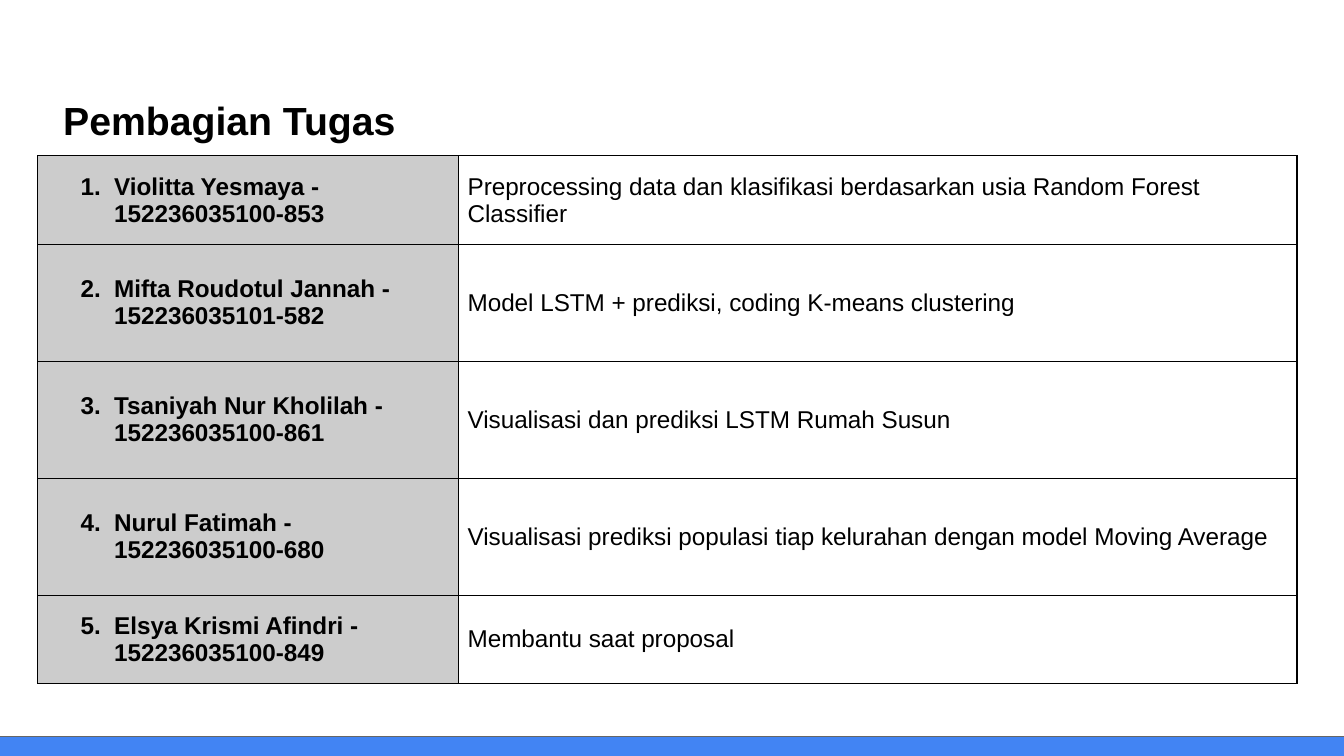
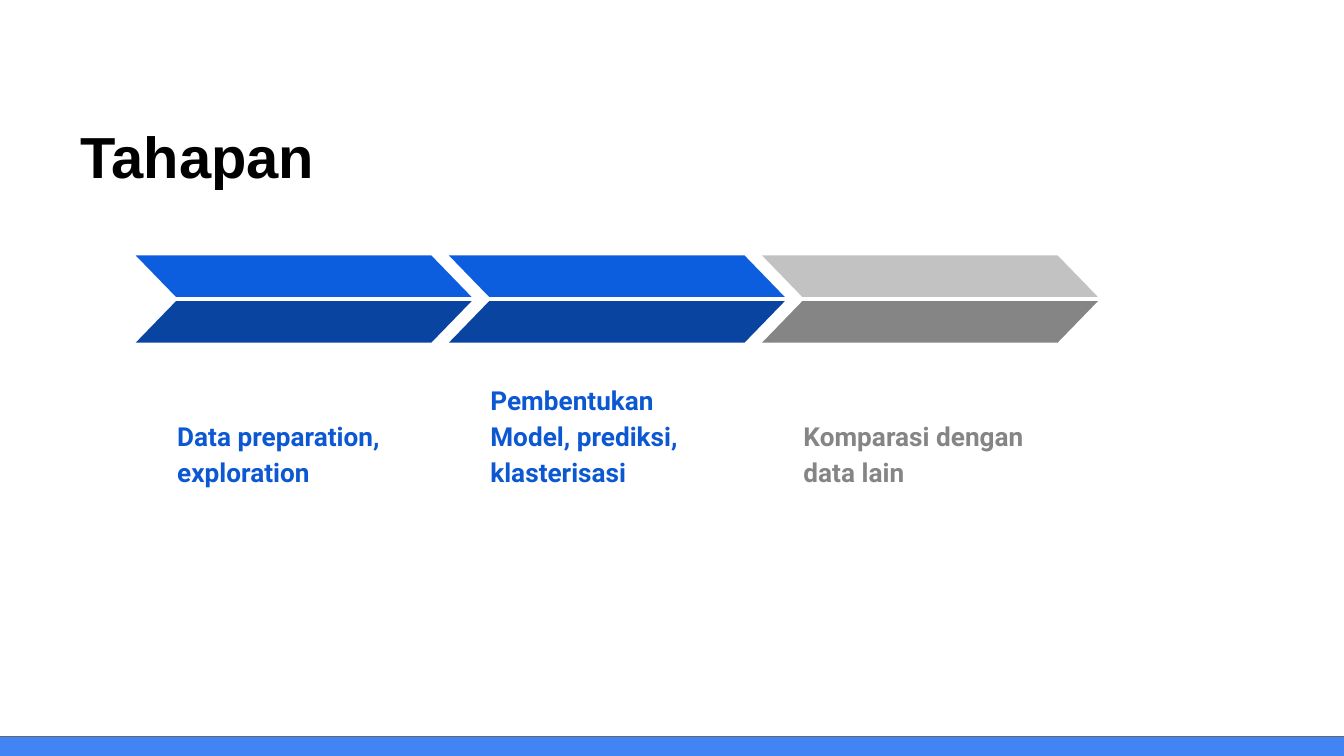
from lxml import etree
from pptx import Presentation
from pptx.dml.color import RGBColor
from pptx.enum import shapes, text
from pptx.oxml.ns import qn
from pptx.util import Inches, Pt

BLACK, WHITE, GREY = "000000", "FFFFFF", "CCCCCC"
BAND_BLUE, BAND_LINE = "4284F3", "666666"
BLUE, DARK_BLUE, LABEL_BLUE = "0D5DDF", "0944A1", "0C58D3"
LIGHT_STEP, DARK_STEP = "C2C2C2", "858585"


def color(value):
    return RGBColor.from_string(value)


def style(paragraph, font, size, value, bold):
    for span in paragraph.runs:
        span.font.name = font
        span.font.size = Pt(size)
        span.font.bold = bold
        span.font.color.rgb = color(value)


# Widescreen deck, 16 to 9
deck = Presentation()
deck.slide_width = Inches(10)
deck.slide_height = deck.slide_width * 9 // 16
layout = deck.slide_layouts[5]

# Pages and their titles: wording, size, left, top, width, height
titles = [
    ("Pembagian Tugas", 21, 0.37, 0.62, 8.75, 0.53),
    ("Tahapan", 31, 0.5, 0.8, 7.55, 0.81),
]
for wording, size, *place in titles:
    page = deck.slides.add_slide(layout)
    title = page.shapes.title
    title.left, title.top, title.width, title.height = map(Inches, place)
    frame = title.text_frame
    frame.text = wording
    frame.auto_size = text.MSO_AUTO_SIZE.NONE
    frame.vertical_anchor = text.MSO_ANCHOR.TOP
    frame.margin_left = frame.margin_right = Inches(0.1)
    frame.margin_top = frame.margin_bottom = Inches(0.1)
    frame.paragraphs[0].alignment = text.PP_ALIGN.LEFT
    style(frame.paragraphs[0], "Arial", size, BLACK, True)
tasks_page, steps_page = deck.slides

# Bottom band, moved to the layout that both pages share
band = tasks_page.shapes.add_shape(
    shapes.MSO_SHAPE.RECTANGLE,
    Inches(-0.04), Inches(5.48), Inches(10.18), Inches(0.3))
band.shadow.inherit = False
band.fill.solid()
band.fill.fore_color.rgb = color(BAND_BLUE)
band.line.color.rgb = color(BAND_LINE)
band.line.width = Pt(0.75)
layout.shapes.element.append(band.element)

# Task table
tasks = [
    ("Violitta Yesmaya", "152236035100-853",
     "Preprocessing data dan klasifikasi berdasarkan usia Random Forest Classifier"),
    ("Mifta Roudotul Jannah", "152236035101-582",
     "Model LSTM + prediksi, coding K-means clustering"),
    ("Tsaniyah Nur Kholilah", "152236035100-861",
     "Visualisasi dan prediksi LSTM Rumah Susun"),
    ("Nurul Fatimah", "152236035100-680",
     "Visualisasi prediksi populasi tiap kelurahan dengan model Moving Average"),
    ("Elsya Krismi Afindri", "152236035100-849",
     "Membantu saat proposal"),
]
row_heights = [0.66, 0.87, 0.87, 0.87, 0.66]
column_widths = [3.13, 6.24]
table = tasks_page.shapes.add_table(
    len(tasks), 2, Inches(0.28), Inches(1.16),
    Inches(sum(column_widths)), Inches(sum(row_heights))).table
table.first_row = table.horz_banding = False
for column, width in zip(table.columns, column_widths):
    column.width = Inches(width)

for number, (name, student_id, task) in enumerate(tasks, 1):
    row = table.rows[number - 1]
    row.height = Inches(row_heights[number - 1])
    person_cell, task_cell = row.cells
    person_cell.text = f"{number}.  {name} -\n{student_id}"
    task_cell.text = task
    # The number hangs to the left of the name and the student id
    for paragraph, indent in zip(person_cell.text_frame.paragraphs, (0.25, 0.5)):
        paragraph._p.get_or_add_pPr().set("marL", str(Inches(indent)))

    for cell, fill, bold in ((person_cell, GREY, True), (task_cell, WHITE, False)):
        cell.vertical_anchor = text.MSO_ANCHOR.MIDDLE
        cell.margin_left = cell.margin_right = Inches(0.07)
        cell.margin_top = cell.margin_bottom = Inches(0.07)
        for paragraph in cell.text_frame.paragraphs:
            style(paragraph, "Arial", 13, BLACK, bold)
        # Borders come before the fill in the cell properties
        properties = cell._tc.get_or_add_tcPr()
        for side in ("a:lnL", "a:lnR", "a:lnT", "a:lnB"):
            border = etree.SubElement(properties, qn(side), w=str(Pt(0.75)))
            solid = etree.SubElement(border, qn("a:solidFill"))
            etree.SubElement(solid, qn("a:srgbClr"), val=BLACK)
        cell.fill.solid()
        cell.fill.fore_color.rgb = color(fill)

# Steps: an arrow of two halves with a label below
steps = [
    ("Data preparation, exploration", BLUE, DARK_BLUE, LABEL_BLUE),
    ("Pembentukan Model, prediksi, klasterisasi", BLUE, DARK_BLUE, LABEL_BLUE),
    ("Komparasi dengan data lain", LIGHT_STEP, DARK_STEP, DARK_STEP),
]
for index, (wording, upper, lower, label_color) in enumerate(steps):
    left = 1.01 + 2.33 * index
    for top, fill, flipped in ((1.9, upper, True), (2.24, lower, False)):
        half = steps_page.shapes.add_shape(
            shapes.MSO_SHAPE.PARALLELOGRAM,
            Inches(left), Inches(top), Inches(2.5), Inches(0.31))
        half.adjustments[0] = 0.97
        half.shadow.inherit = False
        half.fill.solid()
        half.fill.fore_color.rgb = color(fill)
        half.line.fill.background()
        if flipped:
            half.element.spPr.find(qn("a:xfrm")).set("flipH", "1")

    label = steps_page.shapes.add_textbox(
        Inches(left + 0.21), Inches(2.75), Inches(2.05), Inches(0.98))
    frame = label.text_frame
    frame.word_wrap = True
    frame.vertical_anchor = text.MSO_ANCHOR.BOTTOM
    frame.margin_left = frame.margin_right = Inches(0.1)
    frame.margin_top = frame.margin_bottom = Inches(0.1)
    frame.text = wording
    frame.paragraphs[0].line_spacing = 1.15
    style(frame.paragraphs[0], "Roboto", 14, label_color, True)

deck.save("out.pptx")
